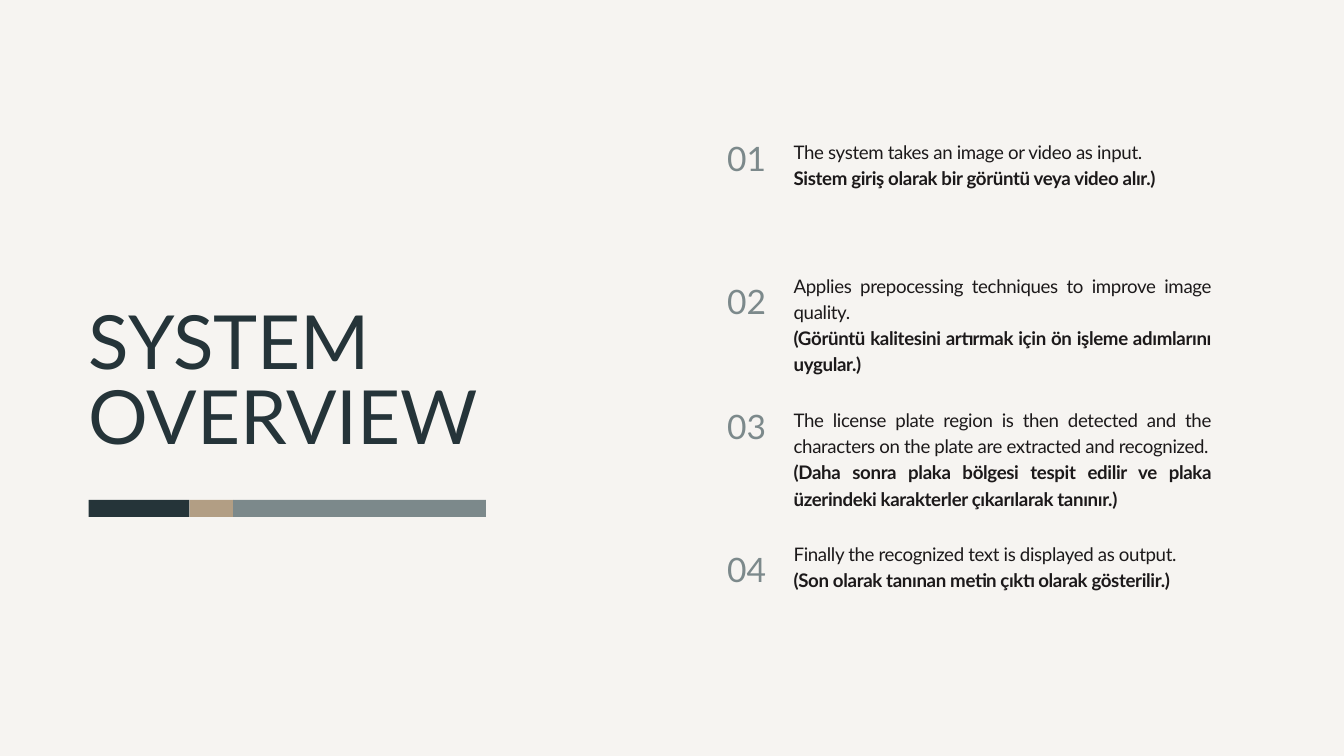
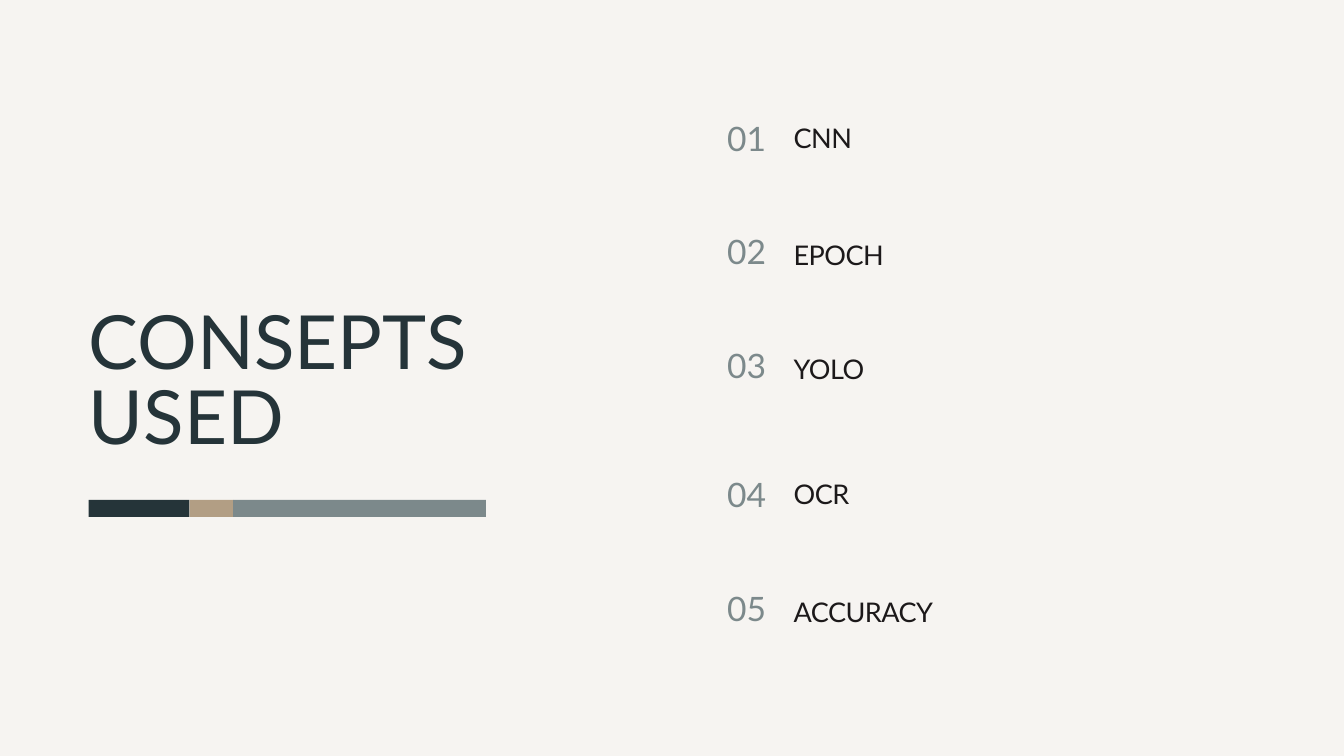
"""Build the system overview and concepts slides."""
from dataclasses import dataclass

from pptx import Presentation
from pptx.dml.color import RGBColor
from pptx.enum.shapes import MSO_SHAPE as Shape
from pptx.enum.text import MSO_AUTO_SIZE as AutoSize, PP_ALIGN as Align
from pptx.presentation import Presentation as Deck
from pptx.slide import Slide
from pptx.util import Inches, Pt

COLORS = {
    "paper": "F6F4F1",
    "navy": "253439",
    "tan": "B29E84",
    "gray": "7C898B",
    "ink": "1C191A",
}
FONT = "Lato"
LEFT = 1.32
BAR_TOP, BAR_HEIGHT = 7.44, 0.25
BAR_SEGMENTS = (("navy", 1.5), ("tan", 0.65), ("gray", 3.76))


@dataclass(frozen=True)
class TextStyle:
    size: float
    leading: float
    color: str
    align: Align = Align.JUSTIFY
    tracking: float = 0


@dataclass(frozen=True)
class Item:
    number_top: float
    text_top: float
    height: float
    lines: tuple[str, ...]


TITLE = TextStyle(80, 80, "navy")
NUMBER = TextStyle(36, 36, "gray", Align.RIGHT)
BODY = TextStyle(20, 28, "ink", tracking=-0.4)
CONCEPT = TextStyle(29, 40.6, "ink", tracking=-0.6)

STEPS = (
    Item(2.15, 2.04, 0.76, (
        "The system takes an image or video as input.",
        "Sistem giriş olarak bir görüntü veya video alır.)")),
    Item(4.28, 4.03, 1.53, (
        "Applies prepocessing techniques to improve image quality.",
        "(Görüntü kalitesini artırmak için ön işleme adımlarını uygular.)")),
    Item(6.14, 6.03, 1.53, (
        "The license plate region is then detected and the characters "
        "on the plate are extracted and recognized.",
        "(Daha sonra plaka bölgesi tespit edilir ve plaka üzerindeki "
        "karakterler çıkarılarak tanınır.)")),
    Item(8.27, 8.02, 0.76, (
        "Finally the recognized text is displayed as output.",
        "(Son olarak tanınan metin çıktı olarak gösterilir.)")),
)
CONCEPTS = (
    Item(1.85, 1.72, 0.54, ("CNN",)),
    Item(3.54, 3.47, 0.54, ("EPOCH",)),
    Item(5.23, 5.17, 0.54, ("YOLO",)),
    Item(7.15, 7.03, 0.54, ("OCR",)),
    Item(8.85, 8.78, 0.54, ("ACCURACY",)),
)


def rgb(name: str) -> RGBColor:
    return RGBColor.from_string(COLORS[name])


def add_text(s: Slide, left: float, top: float, width: float, height: float,
             lines: tuple[str, ...], style: TextStyle) -> None:
    box = s.shapes.add_textbox(Inches(left), Inches(top), Inches(width), Inches(height))
    tf = box.text_frame
    tf.word_wrap = True
    tf.auto_size = AutoSize.SHAPE_TO_FIT_TEXT
    tf.margin_left = tf.margin_top = tf.margin_right = tf.margin_bottom = 0
    for i, line in enumerate(lines):
        p = tf.add_paragraph() if i else tf.paragraphs[0]
        p.alignment = style.align
        p.line_spacing = Pt(style.leading)
        p.font.name = FONT
        p.font.size = Pt(style.size)
        p.font.bold = i > 0
        p.font.color.rgb = rgb(style.color)
        r = p.add_run()
        r.text = line
        if style.tracking:
            r._r.get_or_add_rPr().set("spc", str(round(style.tracking * 100)))


def add_bar(s: Slide) -> None:
    left = LEFT
    for color, width in BAR_SEGMENTS:
        sp = s.shapes.add_shape(Shape.RECTANGLE, Inches(left), Inches(BAR_TOP),
                                Inches(width), Inches(BAR_HEIGHT))
        sp.shadow.inherit = False
        sp.fill.solid()
        sp.fill.fore_color.rgb = rgb(color)
        sp.line.fill.background()
        left += width


def add_list_slide(prs: Deck, title: str, items: tuple[Item, ...], style: TextStyle) -> None:
    s = prs.slides.add_slide(prs.slide_layouts[6])
    s.background.fill.solid()
    s.background.fill.fore_color.rgb = rgb("paper")
    add_text(s, LEFT, 4.61, 6.63, 2.27, (title,), TITLE)
    add_bar(s)
    for n, item in enumerate(items, 1):
        add_text(s, 9.82, item.number_top, 1.58, 0.54, (f"{n:02}",), NUMBER)
        add_text(s, 11.81, item.text_top, 6.21, item.height, item.lines, style)


def main() -> None:
    prs = Presentation()
    prs.slide_width, prs.slide_height = Inches(20), Inches(11.25)
    add_list_slide(prs, "SYSTEM OVERVIEW", STEPS, BODY)
    add_list_slide(prs, "CONSEPTS USED", CONCEPTS, CONCEPT)
    prs.save("out.pptx")


if __name__ == "__main__":
    main()
